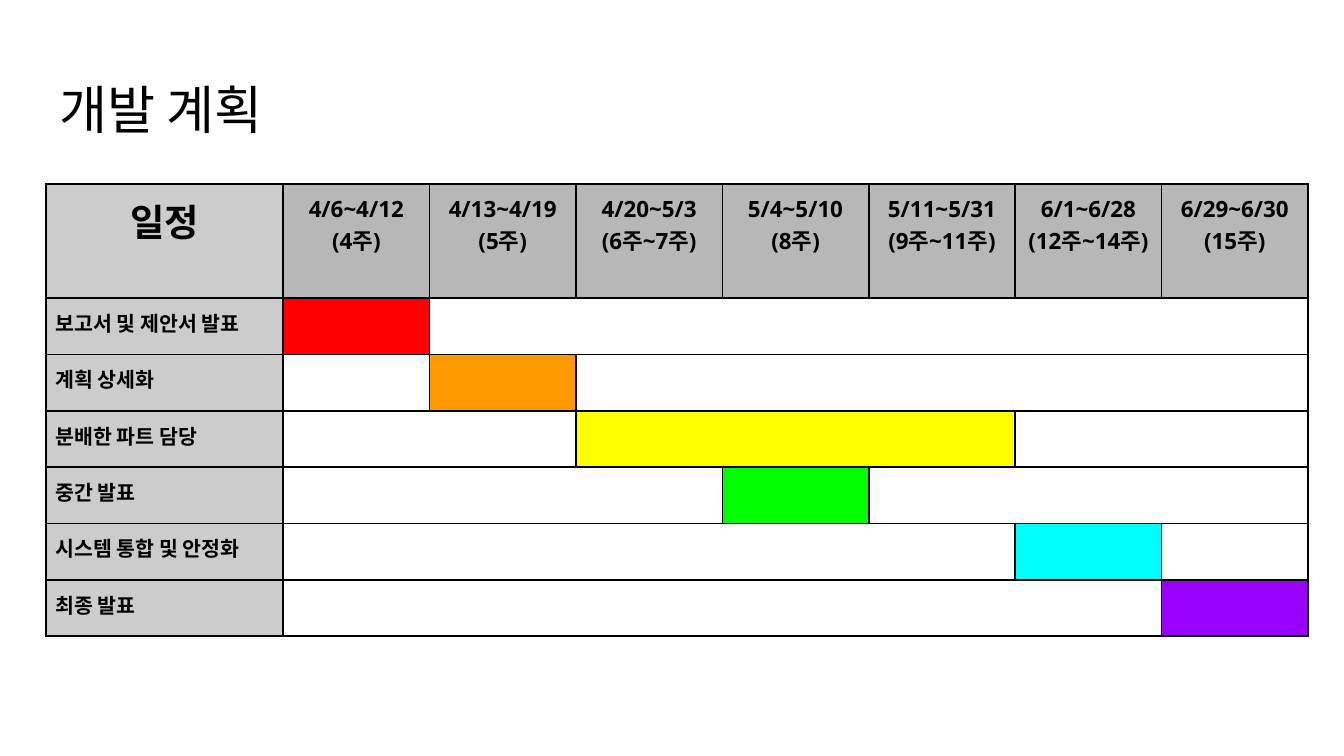
from dataclasses import dataclass

from lxml import etree
from pptx import Presentation
from pptx.dml.color import RGBColor
from pptx.enum.text import MSO_ANCHOR, MSO_AUTO_SIZE, PP_ALIGN
from pptx.oxml.ns import qn
from pptx.util import Pt

LEFT, CENTER = PP_ALIGN.LEFT, PP_ALIGN.CENTER
MIDDLE = MSO_ANCHOR.MIDDLE
FIXED = MSO_AUTO_SIZE.NONE


@dataclass(frozen=True)
class Theme:
    """Colours, fonts and type sizes of the deck."""
    ink: str = "000000"
    label: str = "CCCCCC"
    header: str = "B7B7B7"
    title_font: str = "Arial"
    table_font: str = "Open Sans"
    title_size: int = 28
    corner_size: int = 20
    header_size: int = 12
    label_size: int = 11


@dataclass(frozen=True)
class Box:
    """A rectangle in points."""
    left: float
    top: float
    width: float
    height: float


THEME = Theme()
PAGE_SIZE = (720, 405)
TITLE_BOX = Box(24.5, 35.3, 671, 45.4)
TABLE_BOX = Box(24.6, 98.6, 676.2, 242.2)
LABEL_WIDTH = 127.1
HEADER_HEIGHT = 61
CELL_INSET = 5
TITLE_INSET = 7.2

PERIODS = [
    ("4/6~4/12", "(4주)"),
    ("4/13~4/19", "(5주)"),
    ("4/20~5/3", "(6주~7주)"),
    ("5/4~5/10", "(8주)"),
    ("5/11~5/31", "(9주~11주)"),
    ("6/1~6/28", "(12주~14주)"),
    ("6/29~6/30", "(15주)"),
]
TASKS = [
    ("보고서 및 제안서 발표", 1, 1, "FF0000"),
    ("계획 상세화", 2, 2, "FF9900"),
    ("분배한 파트 담당", 3, 5, "FFFF00"),
    ("중간 발표", 4, 4, "00FF00"),
    ("시스템 통합 및 안정화", 6, 6, "00FFFF"),
    ("최종 발표", 7, 7, "9900FF"),
]


def write_text(frame, lines, *, size, font, bold=False, align=LEFT):
    """Write one paragraph per line in a single format."""
    for index, line in enumerate(lines):
        para = frame.add_paragraph() if index else frame.paragraphs[0]
        para.alignment = align
        span = para.add_run()
        span.text = line
        span.font.size = Pt(size)
        span.font.name = font
        span.font.bold = bold
        span.font.color.rgb = RGBColor.from_string(THEME.ink)


def outline_cell(cell):
    """Draw a one-point line on each side of a cell and clear its fill."""
    properties = cell._tc.get_or_add_tcPr()
    for side in ("a:lnL", "a:lnR", "a:lnT", "a:lnB"):
        line = etree.SubElement(properties, qn(side), w=str(Pt(1)))
        fill = etree.SubElement(line, qn("a:solidFill"))
        etree.SubElement(fill, qn("a:srgbClr"), val=THEME.ink)
    cell.fill.background()


def fill_cell(cell, color):
    """Give a cell a solid fill."""
    cell.fill.solid()
    cell.fill.fore_color.rgb = RGBColor.from_string(color)


def write_cell(cell, lines, color, **text_format):
    """Fill a cell and write bold text in it."""
    fill_cell(cell, color)
    cell.margin_left = cell.margin_right = Pt(CELL_INSET)
    cell.margin_top = cell.margin_bottom = Pt(CELL_INSET)
    write_text(cell.text_frame, lines, font=THEME.table_font, bold=True, **text_format)


def merge_span(table, row, first, last):
    """Join the cells of a row from first to last, if there are several."""
    if first < last:
        table.cell(row, first).merge(table.cell(row, last))


def place_title(page, box, text):
    """Place the title placeholder in the box."""
    title = page.shapes.title
    title.left, title.top = Pt(box.left), Pt(box.top)
    title.width, title.height = Pt(box.width), Pt(box.height)
    frame = title.text_frame
    frame.auto_size = FIXED
    frame.word_wrap = True
    frame.vertical_anchor = MIDDLE
    frame.margin_left = frame.margin_right = Pt(TITLE_INSET)
    frame.margin_top = frame.margin_bottom = Pt(TITLE_INSET)
    write_text(frame, [text], size=THEME.title_size, font=THEME.title_font)


def place_schedule(page, box):
    """Place the schedule table with one coloured bar per task."""
    frame = page.shapes.add_table(
        len(TASKS) + 1, len(PERIODS) + 1,
        Pt(box.left), Pt(box.top), Pt(box.width), Pt(box.height))
    table = frame.table
    table.first_row = table.horz_banding = False
    period_width = (box.width - LABEL_WIDTH) / len(PERIODS)
    task_height = (box.height - HEADER_HEIGHT) / len(TASKS)
    for index, column in enumerate(table.columns):
        column.width = Pt(period_width if index else LABEL_WIDTH)
    for index, row in enumerate(table.rows):
        row.height = Pt(task_height if index else HEADER_HEIGHT)
    for cell in table.iter_cells():
        outline_cell(cell)

    write_cell(table.cell(0, 0), ["일정"], THEME.label,
               size=THEME.corner_size, align=CENTER)
    for column, lines in enumerate(PERIODS, 1):
        write_cell(table.cell(0, column), lines, THEME.header,
                   size=THEME.header_size, align=CENTER)
    for row, (label, first, last, color) in enumerate(TASKS, 1):
        write_cell(table.cell(row, 0), [label], THEME.label, size=THEME.label_size)
        fill_cell(table.cell(row, first), color)
        merge_span(table, row, 1, first - 1)
        merge_span(table, row, first, last)
        merge_span(table, row, last + 1, len(PERIODS))


def main():
    """Build and save the deck."""
    deck = Presentation()
    deck.slide_width, deck.slide_height = map(Pt, PAGE_SIZE)
    page = deck.slides.add_slide(deck.slide_layouts.get_by_name("Title Only"))
    place_schedule(page, TABLE_BOX)
    place_title(page, TITLE_BOX, "개발 계획")
    deck.save("out.pptx")


if __name__ == "__main__":
    main()
